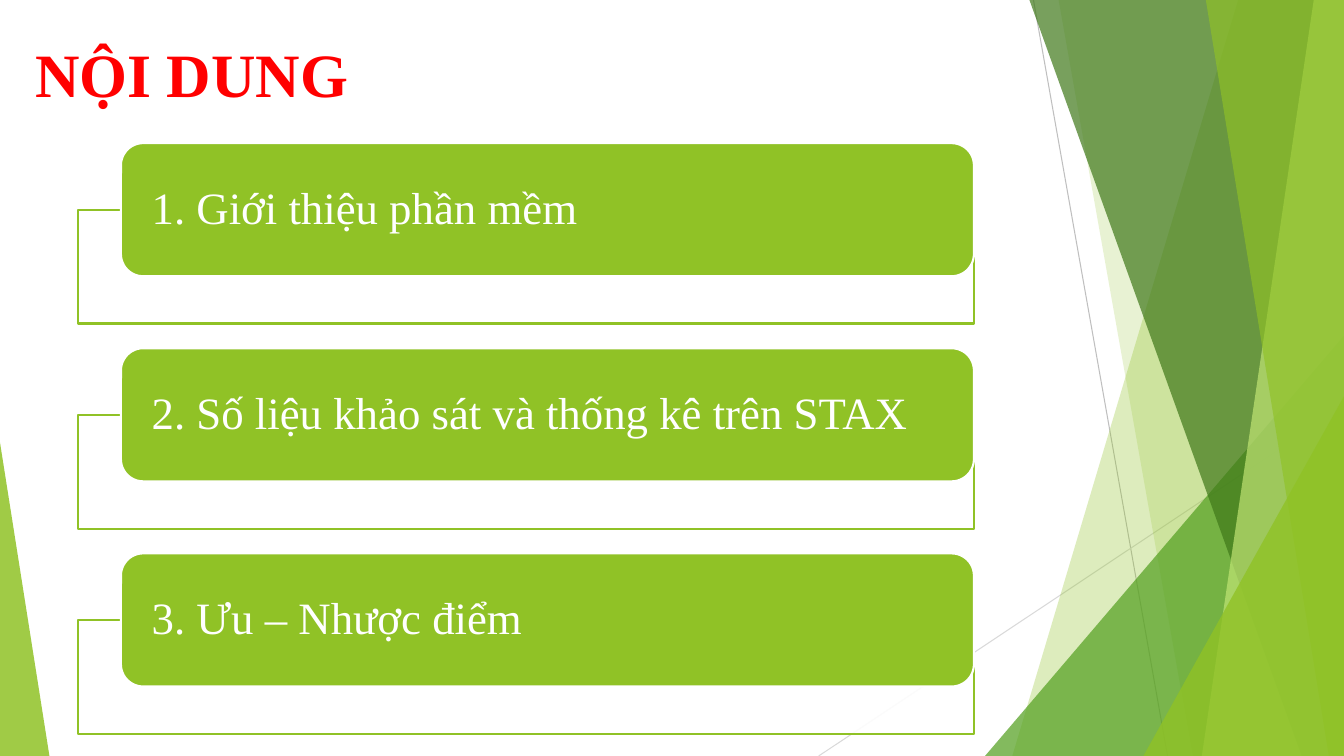
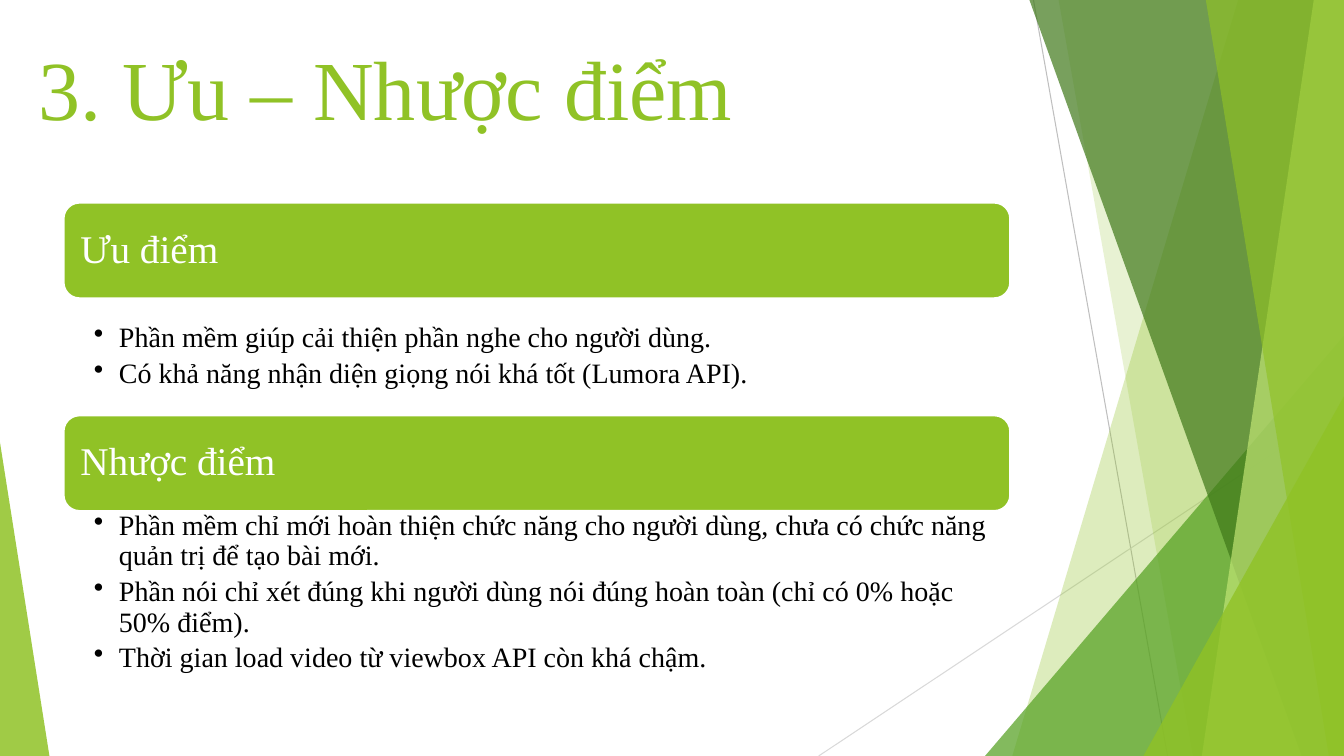
from lxml import etree
from pptx import Presentation
from pptx.dml.color import RGBColor
from pptx.enum.shapes import MSO_CONNECTOR, MSO_SHAPE
from pptx.enum.text import MSO_ANCHOR, PP_ALIGN
from pptx.oxml.ns import qn
from pptx.util import Inches, Pt

LINE = MSO_CONNECTOR.STRAIGHT
RECT = MSO_SHAPE.RECTANGLE
ROUND = MSO_SHAPE.ROUNDED_RECTANGLE
WEDGE = MSO_SHAPE.ISOSCELES_TRIANGLE
LEFT = PP_ALIGN.LEFT
TOP = MSO_ANCHOR.TOP
MIDDLE = MSO_ANCHOR.MIDDLE

LIME = RGBColor(0x90, 0xC2, 0x26)
GREEN = RGBColor(0x54, 0xA0, 0x21)
FOREST = RGBColor(0x3F, 0x78, 0x19)
PALE = RGBColor(0xC0, 0xE4, 0x74)
SILVER = RGBColor(0xBF, 0xBF, 0xBF)
MIST = RGBColor(0xD9, 0xD9, 0xD9)
WHITE = RGBColor(0xFF, 0xFF, 0xFF)
BLACK = RGBColor(0, 0, 0)
RED = RGBColor(0xFF, 0, 0)

FONT = "Times New Roman"
WIDE, HIGH = 13.33, 7.5

RAYS = [
    ((10.25, 0), (11.58, HIGH), SILVER),
    ((WIDE, 4.03), (8.12, HIGH), MIST),
]
SHARDS = [
    ("band", (12.28, 10.04), LIME, 30),
    ("band", (10.5, 11.83), LIME, 20),
    ("wedge", (9.77, 3.33, 3.56, 1), GREEN, 72),
    ("band", (10.21, 12.91), FOREST, 70),
    ("band", (13.03, 11.92), PALE, 70),
    ("band", (11.96, 13.18), LIME, 65),
    ("wedge", (11.34, 3.93, 1.99, 1), LIME, 80),
    ("wedge", (0, 4.39, 0.49, 0), LIME, 85),
]
TOPICS = [
    "1. Giới thiệu phần mềm",
    "2. Số liệu khảo sát và thống kê trên STAX",
    "3. Ưu – Nhược điểm",
]
PROS = [
    "Phần mềm giúp cải thiện phần nghe cho người dùng.",
    "Có khả năng nhận diện giọng nói khá tốt (Lumora API).",
]
CONS = [
    "Phần mềm chỉ mới hoàn thiện chức năng cho người dùng, chưa có chức năng quản trị để tạo bài mới.",
    "Phần nói chỉ xét đúng khi người dùng nói đúng hoàn toàn (chỉ có 0% hoặc 50% điểm).",
    "Thời gian load video từ viewbox API còn khá chậm.",
]


def paint(shape, fill, alpha=100, edge=None):
    shape.shadow.inherit = False
    shape.fill.solid()
    shape.fill.fore_color.rgb = fill
    if alpha < 100:
        tint = shape._element.spPr.find(".//" + qn("a:srgbClr"))
        etree.SubElement(tint, qn("a:alpha"), val=str(alpha * 1000))
    if edge is None:
        shape.line.fill.background()
    else:
        shape.line.color.rgb = edge
        shape.line.width = Pt(1.5)


def add_box(slide, kind, x, y, w, h):
    return slide.shapes.add_shape(kind, Inches(x), Inches(y), Inches(w), Inches(h))


def add_ray(slide, start, end, color):
    ends = [Inches(v) for v in (*start, *end)]
    ray = slide.shapes.add_connector(LINE, *ends)
    ray.line.color.rgb = color
    ray.line.width = Pt(0.75)
    etree.SubElement(ray._element.spPr, qn("a:effectLst"))


def add_band(slide, top, foot):
    pen = slide.shapes.build_freeform(Inches(top), 0)
    spots = [(WIDE, 0), (WIDE, HIGH), (foot, HIGH)]
    pen.add_line_segments([(Inches(x), Inches(y)) for x, y in spots], close=True)
    return pen.convert_to_shape()


def add_wedge(slide, x, y, w, peak):
    wedge = add_box(slide, WEDGE, x, y, w, HIGH - y)
    wedge.adjustments[0] = peak
    return wedge


def add_decor(slide):
    for ray in RAYS:
        add_ray(slide, *ray)
    makers = {"band": add_band, "wedge": add_wedge}
    for kind, place, color, alpha in SHARDS:
        paint(makers[kind](slide, *place), color, alpha)


def set_text(shape, lines, size, color, pads, anchor=MIDDLE, bold=False, space=0.9, dots=False):
    frame = shape.text_frame
    frame.word_wrap = True
    frame.vertical_anchor = anchor
    left, top, right, foot = [Inches(pad) for pad in pads]
    frame.margin_left, frame.margin_top = left, top
    frame.margin_right, frame.margin_bottom = right, foot
    for i, line in enumerate(lines):
        para = frame.paragraphs[0] if i == 0 else frame.add_paragraph()
        para.text = line
        para.alignment = LEFT
        para.line_spacing = space
        if dots:
            para.space_after = Pt(4)
            props = para._p.get_or_add_pPr()
            props.set("marL", str(Inches(0.25)))
            props.set("indent", str(Inches(-0.25)))
            etree.SubElement(props, qn("a:buChar"), char="•")
        font = para.font
        font.name, font.size, font.bold = FONT, Pt(size), bold
        font.color.rgb = color


def add_text(slide, x, y, w, h, *args, **style):
    box = slide.shapes.add_textbox(Inches(x), Inches(y), Inches(w), Inches(h))
    set_text(box, *args, **style)


def add_title(slide, x, w, h, text, size, color, bold=False):
    pads = (0.1, 0.05, 0.1, 0.05)
    add_text(slide, x, 0.31, w, h, [text], size, color, pads, anchor=TOP, bold=bold, space=1)


def add_bar(slide, x, y, w, h, text, size, pads):
    bar = add_box(slide, ROUND, x, y, w, h)
    paint(bar, LIME, edge=WHITE)
    set_text(bar, [text], size, WHITE, pads)


def add_topic(slide, x, y, w, text):
    paint(add_box(slide, RECT, x, y + 0.66, w, 1.13), WHITE, 90, LIME)
    add_bar(slide, x + 0.43, y, w - 0.43, 1.32, text, 32, (0.24, 0, 0.24, 0))


def add_group(slide, x, y, w, h, head, points):
    bar = 0.95
    add_bar(slide, x, y, w, bar, head, 28, (0.12,) * 4)
    pads = (0.3, 0.03, 0.16, 0.03)
    add_text(slide, x, y + bar, w, h - bar, points, 20, BLACK, pads, dots=True)


def add_page(deck):
    slide = deck.slides.add_slide(deck.slide_layouts[6])
    add_decor(slide)
    return slide


def make_index(deck):
    slide = add_page(deck)
    for i, topic in enumerate(TOPICS):
        add_topic(slide, 0.77, 1.42 + i * 2.035, 8.89, topic)
    add_title(slide, 0.25, 3.6, 0.84, "NỘI DUNG", 44, RED, bold=True)


def make_review(deck):
    slide = add_page(deck)
    add_title(slide, 0.28, 11.24, 1.18, TOPICS[2], 60, LIME)
    add_group(slide, 0.63, 2.01, 9.39, 2.11, "Ưu điểm", PROS)
    add_group(slide, 0.63, 4.12, 9.39, 2.57, "Nhược điểm", CONS)


def main():
    deck = Presentation()
    deck.slide_width, deck.slide_height = Inches(WIDE), Inches(HIGH)
    make_index(deck)
    make_review(deck)
    deck.save("out.pptx")


if __name__ == "__main__":
    main()
